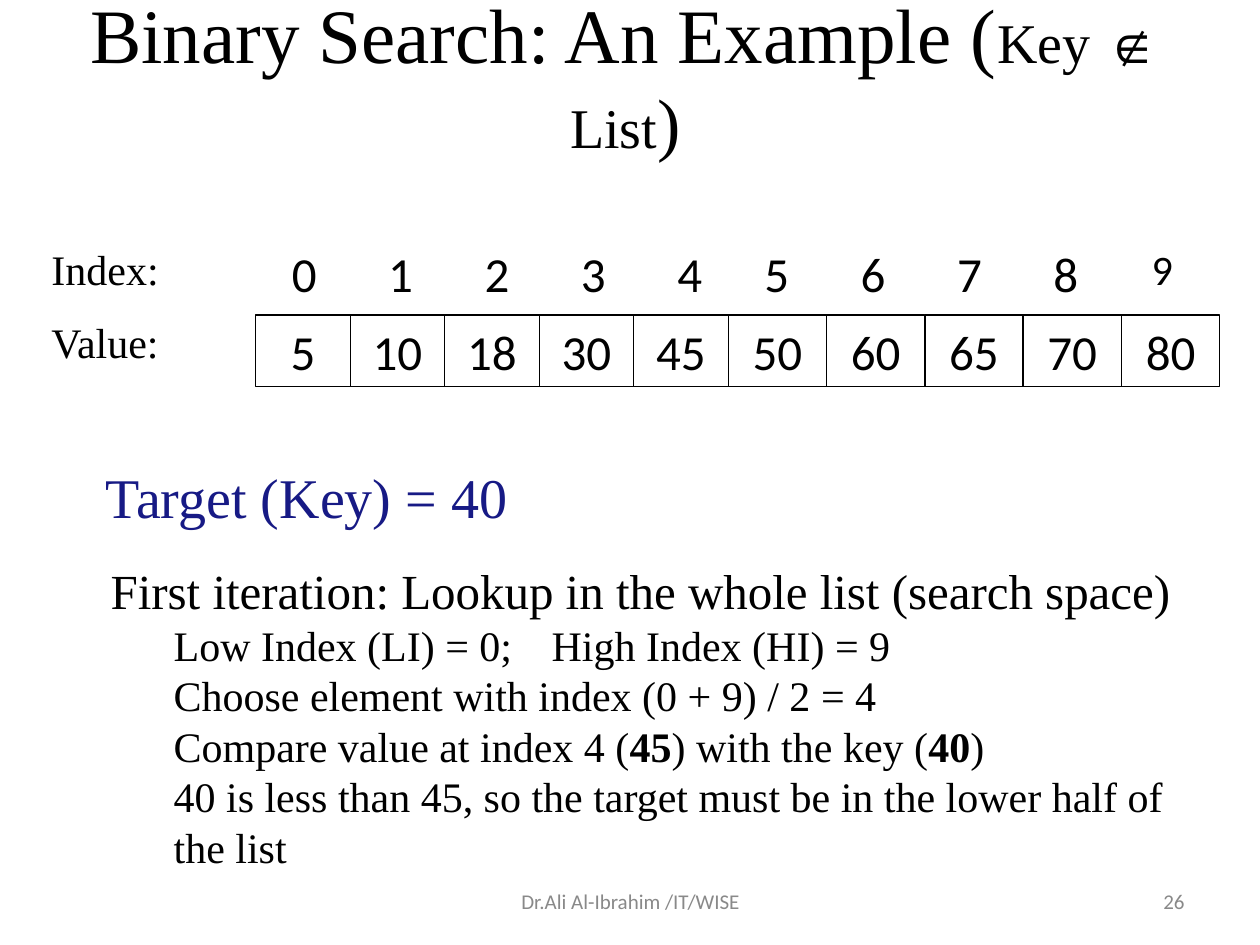
from dataclasses import dataclass
from typing import Any

from pptx import Presentation
from pptx import util as u
from pptx.dml.color import RGBColor
from pptx.enum import shapes, text


@dataclass(frozen=True)
class Theme:
    serif: str = "Times New Roman"
    sans: str = "Calibri"
    symbol: str = "Arial"
    ink: str = "000000"
    key: str = "171A85"
    muted: str = "898989"
    title: float = 44
    title_close: float = 40
    heading: float = 32
    large: float = 28
    body: float = 24
    footer: float = 12
    border: float = 0.75


THEME = Theme()
ALIGN = text.PP_ALIGN
ANCHOR = text.MSO_ANCHOR


@dataclass(frozen=True)
class Span:
    words: str
    size: float = THEME.body
    font: str = THEME.serif
    color: str = THEME.ink
    bold: bool = False


@dataclass(frozen=True)
class Para:
    spans: tuple[Span, ...]
    align: Any = ALIGN.LEFT
    indent: float = 0


@dataclass(frozen=True)
class Area:
    left: float
    top: float
    width: float
    height: float

    def lengths(self) -> list[int]:
        return [u.Inches(v) for v in (self.left, self.top, self.width, self.height)]


@dataclass(frozen=True)
class Row:
    """Ten array entries: two runs of five, each with its own start and pitch."""
    entries: tuple[int, ...]
    starts: tuple[float, float]
    pitches: tuple[float, float]
    widths: tuple[float, float]
    top: float
    bordered: bool


def apply_format(target: Any, values: dict[str, Any]) -> None:
    for name, value in values.items():
        setattr(target, name, value)


def write(box: Any, paras: list[Para], **frame_format: Any) -> None:
    frame = box.text_frame
    apply_format(frame, {"word_wrap": True, "vertical_anchor": ANCHOR.TOP, **frame_format})
    for number, para in enumerate(paras):
        line = frame.add_paragraph() if number else frame.paragraphs[0]
        line.alignment = para.align
        if para.indent:
            line.level = 1
            properties = line._p.get_or_add_pPr()
            properties.set("marL", str(u.Inches(para.indent)))
            properties.set("indent", "0")
        for span in para.spans:
            run = line.add_run()
            run.text = span.words
            apply_format(run.font, {"size": u.Pt(span.size), "name": span.font,
                                    "bold": span.bold})
            run.font.color.rgb = RGBColor.from_string(span.color)


def add_text(parent: Any, area: Area, paras: list[Para], **frame_format: Any) -> None:
    write(parent.add_textbox(*area.lengths()), paras, **frame_format)


def add_cell(parent: Any, area: Area, paras: list[Para], **frame_format: Any) -> None:
    cell = parent.add_shape(shapes.MSO_SHAPE.RECTANGLE, *area.lengths())
    cell.shadow.inherit = False
    cell.fill.background()
    cell.line.color.rgb = RGBColor.from_string(THEME.ink)
    cell.line.width = u.Pt(THEME.border)
    write(cell, paras, **frame_format)


def add_row(page: Any, row: Row) -> None:
    group = page.shapes.add_group_shape().shapes
    draw = add_cell if row.bordered else add_text
    for number, entry in enumerate(row.entries):
        half, step = divmod(number, 5)
        last_index = not row.bordered and number == 9
        size = THEME.body if last_index else THEME.large
        area = Area(row.starts[half] + step * row.pitches[half], row.top,
                    row.widths[half], 0.5 if last_index else 0.57)
        draw(group, area, [Para((Span(str(entry), size, THEME.sans),), ALIGN.CENTER)],
             auto_size=text.MSO_AUTO_SIZE.SHAPE_TO_FIT_TEXT)


ROWS = [
    Row((5, 10, 18, 30, 45, 50, 60, 65, 70, 80),
        (2.03, 5.78), (0.75, 0.78), (0.75, 0.78), 2.5, True),
    Row(tuple(range(10)), (2.03, 5.78), (0.765, 0.765), (0.77, 0.77), 1.88, False),
]

TITLE = Para((
    Span("Binary Search: An Example (", THEME.title),
    Span("Key ", THEME.heading),
    Span("∉", THEME.heading, THEME.symbol),
    Span(" List", THEME.heading),
    Span(")", THEME.title_close),
), ALIGN.CENTER)

STEPS = [
    (Span("Low Index (LI) = 0;\tHigh Index (HI) = 9"),),
    (Span("Choose element with index (0 + 9) / 2 = 4"),),
    (Span("Compare value at index 4 ("), Span("45", bold=True),
     Span(") with the key ("), Span("40", bold=True), Span(")")),
    (Span("40 is less than 45, so the target must be in the lower half of the list"),),
]


def main() -> None:
    deck = Presentation()
    deck.slide_width, deck.slide_height = u.Inches(10), u.Inches(7.5)
    page = deck.slides.add_slide(deck.slide_layouts[6])
    canvas = page.shapes

    add_text(canvas, Area(0.16, 0.16, 9.61, 0.86), [TITLE], vertical_anchor=ANCHOR.MIDDLE)
    add_text(canvas, Area(0.63, 3.59, 8.5, 0.7),
             [Para((Span("Target (Key) = 40", THEME.heading, color=THEME.key),))],
             vertical_anchor=ANCHOR.MIDDLE, margin_left=u.Inches(0.21))
    for label, top in (("Index:", 1.88), ("Value:", 2.46)):
        add_text(canvas, Area(0.31, top, 1.41, 0.5), [Para((Span(label),))],
                 auto_size=text.MSO_AUTO_SIZE.SHAPE_TO_FIT_TEXT)
    for row in ROWS:
        add_row(page, row)

    heading = Span("First iteration: Lookup in the whole list (search space)", THEME.large)
    add_text(canvas, Area(0.78, 4.45, 8.9, 2.81),
             [Para((heading,)), *(Para(step, indent=0.5) for step in STEPS)], margin_top=0)

    for words, area, align in (
        ("26", Area(7.17, 6.95, 2.33, 0.4), ALIGN.RIGHT),
        ("Dr.Ali Al-Ibrahim /IT/WISE", Area(3.42, 6.95, 3.17, 0.4), ALIGN.CENTER),
    ):
        add_text(canvas, area,
                 [Para((Span(words, THEME.footer, THEME.sans, THEME.muted),), align)],
                 vertical_anchor=ANCHOR.MIDDLE)

    deck.save("out.pptx")


if __name__ == "__main__":
    main()
